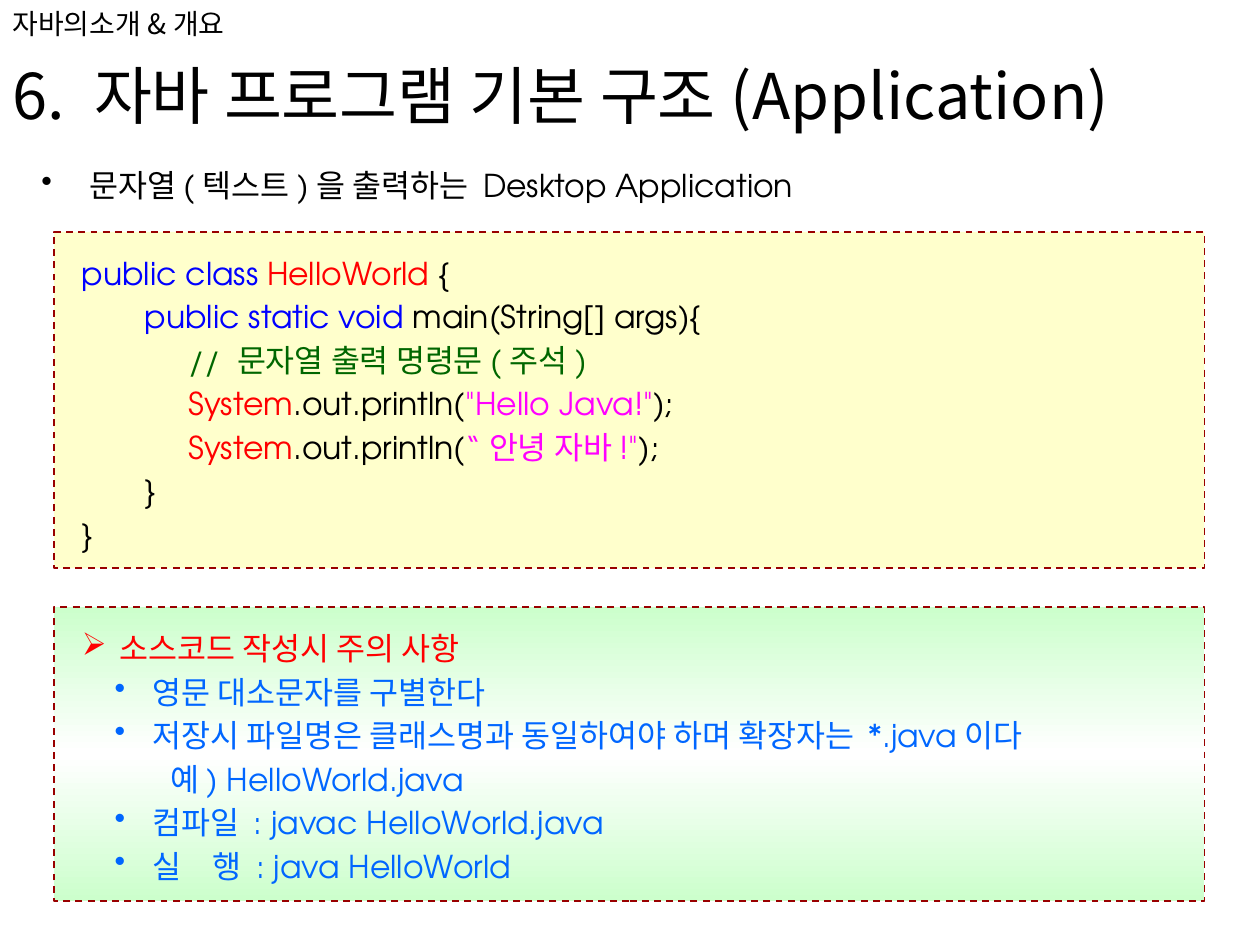
from copy import deepcopy

from lxml.etree import SubElement
from pptx import Presentation
from pptx.dml.color import RGBColor
from pptx.enum.dml import MSO_LINE
from pptx.enum.shapes import MSO_SHAPE
from pptx.enum.text import MSO_ANCHOR, PP_ALIGN
from pptx.oxml.ns import qn
from pptx.util import Inches, Pt

BLACK = RGBColor(0x00, 0x00, 0x00)
WHITE = RGBColor(0xFF, 0xFF, 0xFF)
RED = RGBColor(0xFF, 0x00, 0x00)
KEYWORD = RGBColor(0x00, 0x00, 0xFF)
COMMENT = RGBColor(0x00, 0x66, 0x00)
STRING = RGBColor(0xFF, 0x00, 0xFF)
NOTE = RGBColor(0x00, 0x66, 0xFF)
BORDER = RGBColor(0x99, 0x00, 0x00)
CREAM = RGBColor(0xFF, 0xFF, 0xCC)
MINT = RGBColor(0xCC, 0xFF, 0xCC)

KOREAN = "Noto Sans CJK KR"
LATIN = "TeX Gyre Adventor"

CODE = [
    [("public class ", KEYWORD), ("HelloWorld ", RED), ("{", BLACK)],
    [("\t", BLACK), ("public static void", KEYWORD), (" main(String[] args){", BLACK)],
    [("\t     ", BLACK), ("// 문자열 출력 명령문(주석)", COMMENT)],
    [("\t     ", BLACK), ("System", RED), (".out.println(", BLACK),
     ('"Hello Java!"', STRING), (");", BLACK)],
    [("\t     ", BLACK), ("System", RED), (".out.println(", BLACK),
     ('“안녕 자바!"', STRING), (");", BLACK)],
    [("\t}", BLACK)],
    [("}", BLACK)],
]

NOTES = [
    ("소스코드 작성시 주의 사항", RED, "➢", 0.3),
    ("영문 대소문자를 구별한다", NOTE, "•", 0.56),
    ("저장시 파일명은 클래스명과 동일하여야 하며 확장자는 *.java이다", NOTE, "•", 0.56),
    ("예) HelloWorld.java", NOTE, None, 0.7),
    ("컴파일 : javac HelloWorld.java", NOTE, "•", 0.56),
    ("실　행 : java HelloWorld", NOTE, "•", 0.56),
]


class Slide:
    def __init__(self, page):
        self.page = page

    def text_box(self, left, top, width, height):
        box = self.page.shapes.add_textbox(
            Inches(left), Inches(top), Inches(width), Inches(height))
        box.text_frame.word_wrap = True
        return box.text_frame

    def panel(self, top, height):
        box = self.page.shapes.add_shape(
            MSO_SHAPE.RECTANGLE, Inches(0.43), Inches(top), Inches(9.13), Inches(height))
        box.shadow.inherit = False
        box.line.color.rgb = BORDER
        box.line.width = Pt(1)
        box.line.dash_style = MSO_LINE.DASH
        frame = box.text_frame
        frame.word_wrap = True
        frame.vertical_anchor = MSO_ANCHOR.TOP
        frame.margin_left = frame.margin_right = Inches(0.22)
        frame.margin_top = frame.margin_bottom = Inches(0.13)
        return box

    def gradient(self, box, colors):
        box.fill.gradient()
        box.fill.gradient_angle = 90
        stops = box._element.spPr.find(".//" + qn("a:gsLst"))
        stops.append(deepcopy(stops[0]))
        for index, (stop, color) in enumerate(zip(box.fill.gradient_stops, colors)):
            stop.position = index / (len(colors) - 1)
            stop.color.rgb = color

    def paragraph(self, frame, spans, size=18, font=LATIN, bullet=None,
                  margin=0, hanging=0, spacing=None):
        first = frame.paragraphs[0]
        para = frame.add_paragraph() if first.runs else first
        para.alignment = PP_ALIGN.LEFT
        para.line_spacing = spacing
        properties = para._p.get_or_add_pPr()
        properties.set("marL", str(Inches(margin)))
        properties.set("indent", str(-Inches(hanging)))
        if bullet:
            color = SubElement(SubElement(properties, qn("a:buClr")), qn("a:srgbClr"))
            color.set("val", str(spans[0][1]))
            SubElement(properties, qn("a:buChar")).set("char", bullet)
        para.font.size = Pt(size)
        para.font.name = font
        defaults = properties.find(qn("a:defRPr"))
        SubElement(defaults, qn("a:ea")).set("typeface", KOREAN)
        if len(spans) == 1:
            para.font.color.rgb = spans[0][1]
        for text, color in spans:
            span = para.add_run()
            span.text = text
            if len(spans) > 1:
                span.font.color.rgb = color


def main():
    deck = Presentation()
    deck.slide_width = Inches(10)
    deck.slide_height = Inches(7.5)
    slide = Slide(deck.slides.add_slide(deck.slide_layouts[6]))

    title = slide.text_box(0, 0.4, 9.84, 0.7)
    slide.paragraph(title, [("6. 자바 프로그램 기본 구조(Application)", BLACK)], 36, KOREAN)
    chapter = slide.text_box(0, 0, 3.19, 0.37)
    slide.paragraph(chapter, [("자바의소개&개요", BLACK)], 16, KOREAN)
    topic = slide.text_box(0.23, 1.27, 9.53, 0.47)
    slide.paragraph(topic, [("문자열(텍스트)을 출력하는 Desktop Application", BLACK)],
                    bullet="•", margin=0.38, hanging=0.38)

    code = slide.panel(1.84, 2.67)
    code.fill.solid()
    code.fill.fore_color.rgb = CREAM
    for spans in CODE:
        slide.paragraph(code.text_frame, spans, spacing=1.15)

    notes = slide.panel(4.82, 2.33)
    slide.gradient(notes, [MINT, WHITE, MINT])
    for text, color, bullet, margin in NOTES:
        slide.paragraph(notes.text_frame, [(text, color)], bullet=bullet, margin=margin,
                        hanging=0.3 if bullet else 0, spacing=1.15)

    deck.save("out.pptx")


if __name__ == "__main__":
    main()
